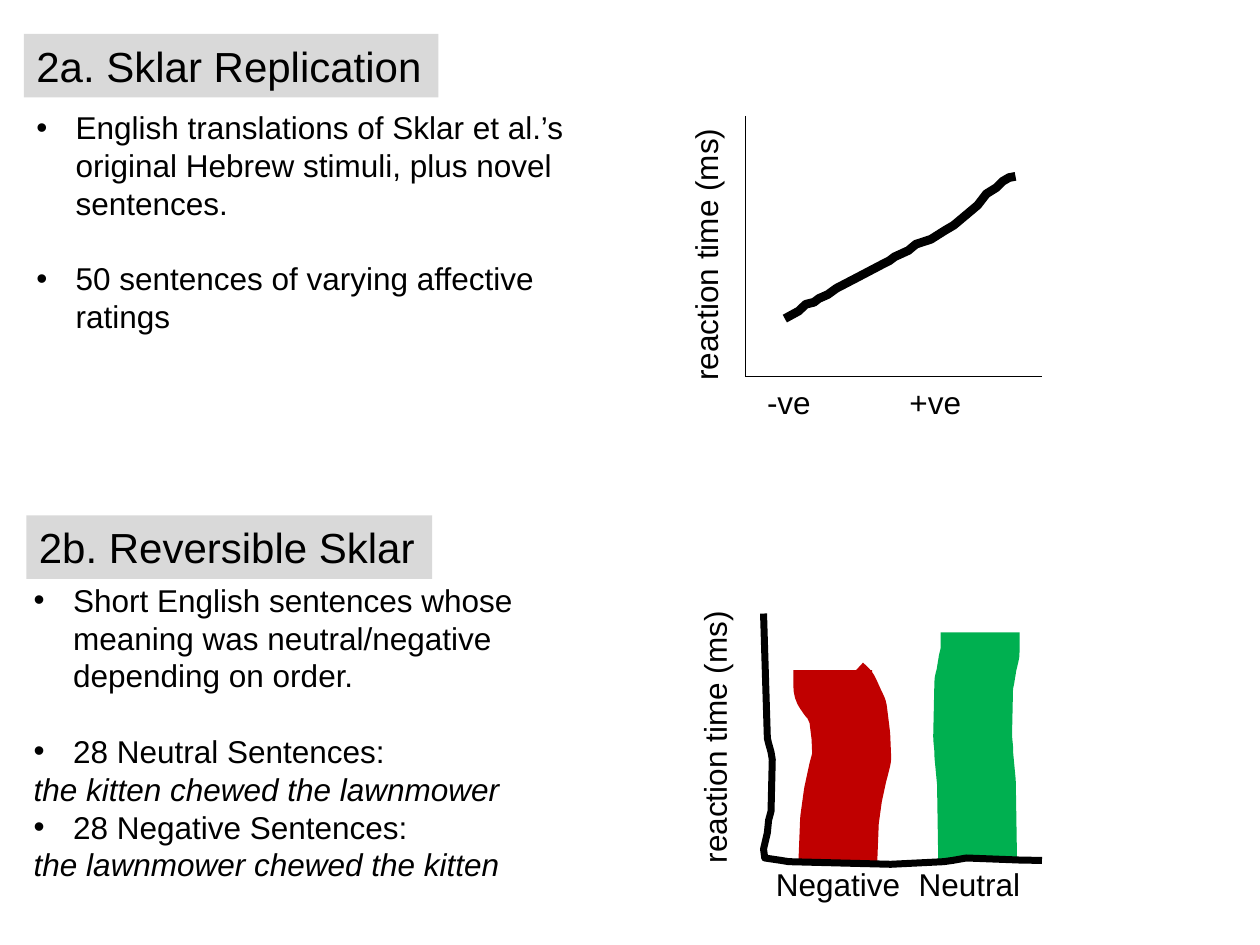
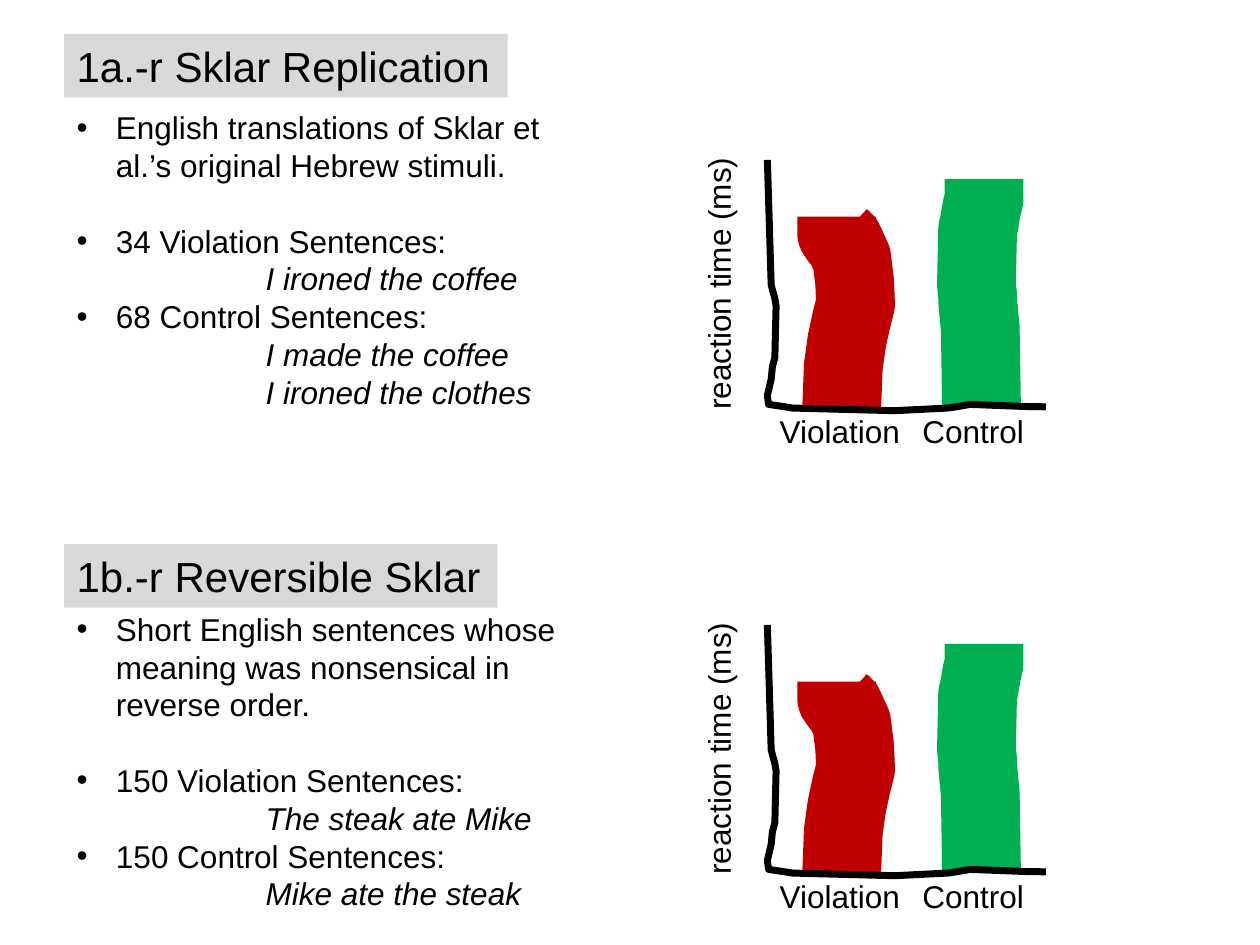
from lxml.etree import SubElement
from pptx import Presentation
from pptx.dml.color import RGBColor
from pptx.enum.shapes import MSO_CONNECTOR, MSO_SHAPE
from pptx.enum.text import MSO_ANCHOR, PP_ALIGN
from pptx.oxml.ns import qn
from pptx.util import Pt

COLORS = {"text": "000000", "heading": "D9D9D9", "first_bar": "C00000", "second_bar": "00B050"}
FONT = "Arial"
BODY_SIZE, HEADING_SIZE = 18, 24
LINE_HEIGHT, BULLET_INDENT = 21.6, 22.5
LABEL_HEIGHT = 28.8
Y_LABEL = "reaction time (ms)"

BULLET, SPACED, EXAMPLE = "bullet", "spaced bullet", "example"

SLIDES = [
    {
        "sections": [
            {
                "heading": ("2a. Sklar Replication", 13.7, 19.4, 236.9),
                "box": (13.7, 58.3, 335.5, 138.2),
                "example_indent": 0,
                "lines": [
                    (BULLET, "English translations of Sklar et al.’s original Hebrew stimuli, plus novel sentences."),
                    (SPACED, "50 sentences of varying affective ratings"),
                ],
            },
            {
                "heading": ("2b. Reversible Sklar", 15.1, 294.5, 231.8),
                "box": (12.2, 328.3, 289.4, 181.4),
                "example_indent": 0,
                "lines": [
                    (BULLET, "Short English sentences whose meaning was neutral/negative depending on order."),
                    (SPACED, "28 Neutral Sentences:"),
                    (EXAMPLE, "the kitten chewed the lawnmower"),
                    (BULLET, "28 Negative Sentences:"),
                    (EXAMPLE, "the lawnmower chewed the kitten"),
                ],
            },
        ],
        "trend_plots": [(426.2, 66.2)],
        "bar_plots": [(436.3, 350.6, [("Negative", 86.4), ("Neutral", 73.4)])],
    },
    {
        "sections": [
            {
                "heading": ("1a.-r Sklar Replication", 36.7, 19.4, 253.4),
                "box": (36.7, 58.3, 293, 181.4),
                "example_indent": 108,
                "lines": [
                    (BULLET, "English translations of Sklar et al.’s original Hebrew stimuli."),
                    (SPACED, "34 Violation Sentences:"),
                    (EXAMPLE, "I ironed the coffee"),
                    (BULLET, "68 Control Sentences:"),
                    (EXAMPLE, "I made the coffee"),
                    (EXAMPLE, "I ironed the clothes"),
                ],
            },
            {
                "heading": ("1b.-r Reversible Sklar", 36.7, 311, 247.7),
                "box": (36.7, 344.9, 293, 181.4),
                "example_indent": 108,
                "lines": [
                    (BULLET, "Short English sentences whose meaning was nonsensical in reverse order."),
                    (SPACED, "150 Violation Sentences:"),
                    (EXAMPLE, "The steak ate Mike"),
                    (BULLET, "150 Control Sentences:"),
                    (EXAMPLE, "Mike ate the steak"),
                ],
            },
        ],
        "trend_plots": [],
        "bar_plots": [
            (438.5, top, [("Violation", 84.2), ("Control", 73.4)]) for top in (91.4, 357.1)
        ],
    },
]

TREND = [
    (22.3, 115.9), (30.2, 111.6), (34.3, 107.7), (38.9, 106.6), (41.8, 104.4), (46.8, 102.2),
    (51.8, 98.6), (64.1, 92.2), (77.8, 85), (82.1, 82.8), (85, 80.6), (92.9, 77),
    (97.2, 73.4), (105.8, 70.6), (113.8, 65.5), (118.8, 62.6), (123.1, 59), (132.5, 51.1),
    (137.5, 44.6), (143.3, 41), (146.9, 37.4), (150.5, 35.3), (154.1, 34.6),
]
FIRST_BAR = [
    (42.5, 141.1), (43.4, 118.1), (45.4, 103.7), (48.2, 90.7), (49, 87.8), (50.4, 82.1),
    (49.9, 69.9), (48.2, 56.2), (46.8, 53.3), (43.9, 46.8), (41.5, 44.6), (39.6, 41.8),
    (39.6, 32.4),
]
SECOND_BAR = [
    (122.4, 141.1), (121.7, 96.5), (120.2, 80.6), (120.2, 77.8), (119.5, 70.6),
    (120.2, 39.6), (121, 36.7), (122.4, 28.1), (123.8, 22.3), (123.8, 10.8),
]
HAND_AXES = [
    (0, 0), (2.2, 71.3), (2.9, 74.2), (4.3, 79.2), (5, 83.5), (4.3, 113), (2.9, 118.1),
    (2.2, 125.3), (0, 134.6), (0.7, 139.7), (10.1, 141.1), (14.4, 141.8), (72.7, 143.3),
    (103, 141.8), (108, 141.1), (115.9, 139.7), (146.9, 140.9), (159.1, 141.1),
]
BAR_STROKES = [
    (FIRST_BAR, "first_bar", 45),
    (SECOND_BAR, "second_bar", 45),
    (HAND_AXES, "text", 4),
]


def rgb(name):
    return RGBColor.from_string(COLORS[name])


def add_run(p, text, size=BODY_SIZE, italic=False):
    r = p.add_run()
    r.text = text
    r.font.name, r.font.size = FONT, Pt(size)
    r.font.italic = italic
    r.font.color.rgb = rgb("text")


def add_label(s, text, x, y, width, rotation=0):
    sp = s.shapes.add_textbox(Pt(x), Pt(y), Pt(width), Pt(LABEL_HEIGHT))
    sp.rotation = rotation
    sp.text_frame.word_wrap = False
    add_run(sp.text_frame.paragraphs[0], text)


def add_heading(s, text, x, y, width):
    sp = s.shapes.add_shape(MSO_SHAPE.RECTANGLE, Pt(x), Pt(y), Pt(width), Pt(36.3))
    sp.shadow.inherit = False
    sp.fill.solid()
    sp.fill.fore_color.rgb = rgb("heading")
    sp.line.fill.background()
    tf = sp.text_frame
    tf.word_wrap = False
    tf.vertical_anchor = MSO_ANCHOR.TOP
    p = tf.paragraphs[0]
    p.alignment = PP_ALIGN.LEFT
    add_run(p, text, HEADING_SIZE)


def add_body(s, box, lines, example_indent):
    tf = s.shapes.add_textbox(*map(Pt, box)).text_frame
    tf.word_wrap = True
    for i, (kind, text) in enumerate(lines):
        p = tf.add_paragraph() if i else tf.paragraphs[0]
        pPr = p._p.get_or_add_pPr()
        if kind == EXAMPLE:
            pPr.set("marL", str(Pt(example_indent)))
        else:
            pPr.set("marL", str(Pt(BULLET_INDENT)))
            pPr.set("indent", str(-Pt(BULLET_INDENT)))
            SubElement(pPr, qn("a:buFont"), typeface=FONT)
            SubElement(pPr, qn("a:buChar"), char="•")
        if kind == SPACED:
            p.space_before = Pt(LINE_HEIGHT)
        add_run(p, text, italic=kind == EXAMPLE)


def add_stroke(s, x, y, points, color, width):
    knots = [(Pt(px), Pt(py)) for px, py in points]
    builder = s.shapes.build_freeform(*knots[0])
    builder.add_line_segments(knots[1:], close=False)
    sp = builder.convert_to_shape(Pt(x), Pt(y))
    sp.shadow.inherit = False
    sp.fill.background()
    sp.line.color.rgb = rgb(color)
    sp.line.width = Pt(width)
    SubElement(sp.line._get_or_add_ln(), qn("a:round"))


def add_axis(s, x1, y1, x2, y2):
    line = s.shapes.add_connector(MSO_CONNECTOR.STRAIGHT, Pt(x1), Pt(y1), Pt(x2), Pt(y2))
    line.line.color.rgb = rgb("text")
    line.line.width = Pt(0.75)
    SubElement(line._element.spPr, qn("a:effectLst"))


def add_trend_plot(s, x, y):
    base = y + 149
    add_axis(s, x, y, x, base)
    add_axis(s, x, base, x + 169.2, base)
    add_label(s, "-ve", x + 5, base, 39.6)
    add_label(s, "+ve", x + 86.4, base, 44.6)
    add_label(s, Y_LABEL, x - 103, y + 64, 160, 270)
    add_stroke(s, x, y, TREND, "text", 5)


def add_bar_plot(s, x, y, categories):
    for i, (name, width) in enumerate(categories):
        add_label(s, name, x + 81.5 * i, y + 140.4, width)
    add_label(s, Y_LABEL, x - 108, y + 55.4, 160, 270)
    for points, color, width in BAR_STROKES:
        add_stroke(s, x, y, points, color, width)


def main():
    prs = Presentation()
    prs.slide_width, prs.slide_height = Pt(720), Pt(540)
    for content in SLIDES:
        s = prs.slides.add_slide(prs.slide_layouts[6])
        for section in content["sections"]:
            add_heading(s, *section["heading"])
            add_body(s, section["box"], section["lines"], section["example_indent"])
        for plot in content["trend_plots"]:
            add_trend_plot(s, *plot)
        for plot in content["bar_plots"]:
            add_bar_plot(s, *plot)
    prs.save("out.pptx")


if __name__ == "__main__":
    main()
